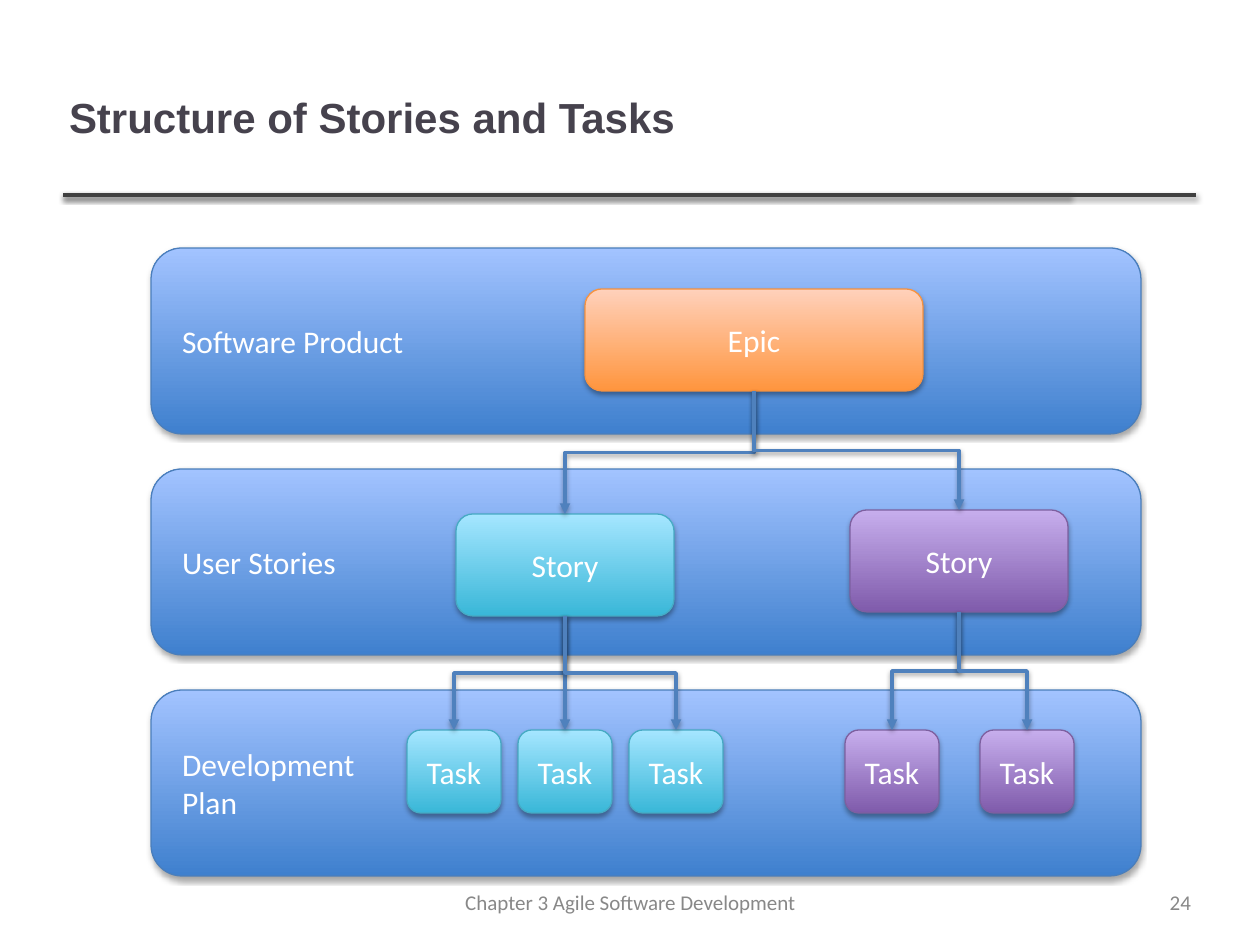
from pptx import Presentation
from pptx.dml.color import RGBColor
from pptx.enum.shapes import MSO_CONNECTOR as CONN, MSO_SHAPE as SHAPE
from pptx.enum.text import MSO_ANCHOR as ANCHOR, PP_ALIGN as ALIGN
from pptx.oxml import parse_xml
from pptx.oxml.ns import nsdecls
from pptx.util import Emu, Pt

WHITE = RGBColor(0xFF, 0xFF, 0xFF)
TITLE = RGBColor(0x46, 0x42, 0x4D)
GRAY = RGBColor(0x88, 0x88, 0x88)
RULE = RGBColor(0x40, 0x40, 0x40)
LINK = RGBColor(0x4F, 0x81, 0xBD)
BLUE = RGBColor(0x3F, 0x80, 0xCE), RGBColor(0xA2, 0xC3, 0xFF), RGBColor(0x4A, 0x7E, 0xBB)
ORANGE = RGBColor(0xFF, 0x95, 0x3E), RGBColor(0xFF, 0xD1, 0xBB), RGBColor(0xF6, 0x92, 0x40)
AQUA = RGBColor(0x39, 0xB7, 0xD8), RGBColor(0xA5, 0xE6, 0xFF), RGBColor(0x46, 0xAA, 0xC4)
PURPLE = RGBColor(0x7F, 0x5B, 0xAB), RGBColor(0xC7, 0xAE, 0xED), RGBColor(0x7D, 0x60, 0xA0)


def px(n):
    """Turn pixels, 126 to the inch, into EMU."""
    return Emu(round(n * 914400 / 126))


class Deck:
    """Holds the text style and the current slide."""

    font, size = "Calibri", 18

    def __init__(self, prs):
        self.slide = prs.slides.add_slide(prs.slide_layouts[5])
        self.shapes = self.slide.shapes

    def set_text(self, s, text, color, size=None, align=ALIGN.LEFT, font=None, bold=False, inset=6):
        tf = s.text_frame
        tf.text = text
        tf.word_wrap = True
        tf.vertical_anchor = ANCHOR.MIDDLE
        tf.margin_left = tf.margin_right = px(inset)
        tf.margin_top = tf.margin_bottom = px(6)
        for p in tf.paragraphs:
            p.alignment = align
            p.font.name = font or self.font
            p.font.size = Pt(size or self.size)
            p.font.bold = bold
            p.font.color.rgb = color

    def shadow(self, s, alpha, dist):
        s._element.spPr.append(parse_xml(
            f'<a:effectLst {nsdecls("a")}><a:outerShdw blurRad="{Pt(3)}" dist="{Pt(dist)}" '
            f'dir="5400000" rotWithShape="0"><a:srgbClr val="000000">'
            f'<a:alpha val="{alpha * 1000}"/></a:srgbClr></a:outerShdw></a:effectLst>'))

    def stroke(self, s, color, arrow=False):
        s.line.color.rgb = color
        s.line.width = Pt(2)
        if arrow:
            s.line._get_or_add_ln().append(parse_xml(f'<a:tailEnd {nsdecls("a")} type="triangle"/>'))
        self.shadow(s, 38, 1.6)

    def title(self, text, x, y, w, h):
        s = self.shapes.title
        s.left, s.top, s.width, s.height = map(px, (x, y, w, h))
        self.set_text(s, text, TITLE, 24, font="Arial", bold=True)

    def label(self, text, x, y, w, h, align):
        s = self.shapes.add_textbox(*map(px, (x, y, w, h)))
        self.set_text(s, text, GRAY, 12, align)

    def rule(self, x1, x2, y):
        self.stroke(self.shapes.add_connector(CONN.STRAIGHT, px(x1), px(y), px(x2), px(y)), RULE)

    def box(self, text, x, y, w, h, colors, align=ALIGN.CENTER, inset=6):
        s = self.shapes.add_shape(SHAPE.ROUNDED_RECTANGLE, *map(px, (x, y, w, h)))
        bottom, top, edge = colors
        s.fill.gradient()
        s.fill.gradient_angle = 90
        for stop, color in zip(s.fill.gradient_stops, (bottom, top)):
            stop.color.rgb = color
        s.line.color.rgb = edge
        s.line.width = Pt(0.75)
        self.shadow(s, 35, 1.8)
        self.set_text(s, text, WHITE, align=align, inset=inset)
        return s

    def link(self, parent, child):
        x1, y1 = parent.left + parent.width // 2, parent.top + parent.height
        x2, y2 = child.left + child.width // 2, child.top
        if abs(x1 - x2) < px(1):
            s = self.shapes.add_connector(CONN.STRAIGHT, x1, y1, x2, y2)
            s.begin_connect(parent, 2)
            s.end_connect(child, 0)
        else:
            mid = (y1 + y2) // 2
            elbow = self.shapes.build_freeform(x1, y1)
            elbow.add_line_segments([(x1, mid), (x2, mid), (x2, y2)], close=False)
            s = elbow.convert_to_shape()
            s.fill.background()
        self.stroke(s, LINK, arrow=True)


def main():
    prs = Presentation()
    prs.slide_width, prs.slide_height = px(1260), px(945)
    deck = Deck(prs)

    for right in (1070, 1196):
        deck.rule(63, right, 195)
    deck.title("Structure of Stories and Tasks", 63, 38, 1005, 157)
    deck.label("Chapter 3 Agile Software Development", 437, 885, 387, 34, ALIGN.CENTER)
    deck.label("24", 1160, 885, 37, 34, ALIGN.RIGHT)

    for i, name in enumerate(("Software Product", "User Stories", "Development\nPlan")):
        deck.box(name, 151, 248 + 221 * i, 990, 186, BLUE, ALIGN.LEFT, 22)

    epic = deck.box("Epic", 585, 289, 338, 102, ORANGE)
    branches = (
        (456, 514, AQUA, (407, 518, 629)),
        (850, 510, PURPLE, (845, 980)),
    )
    links = []
    for x, y, colors, task_xs in branches:
        story = deck.box("Story", x, y, 218, 102, colors)
        links.append((epic, story))
        for task_x in task_xs:
            links.append((story, deck.box("Task", task_x, 730, 94, 83, colors)))
    for parent, child in links:
        deck.link(parent, child)

    prs.save("out.pptx")


if __name__ == "__main__":
    main()
